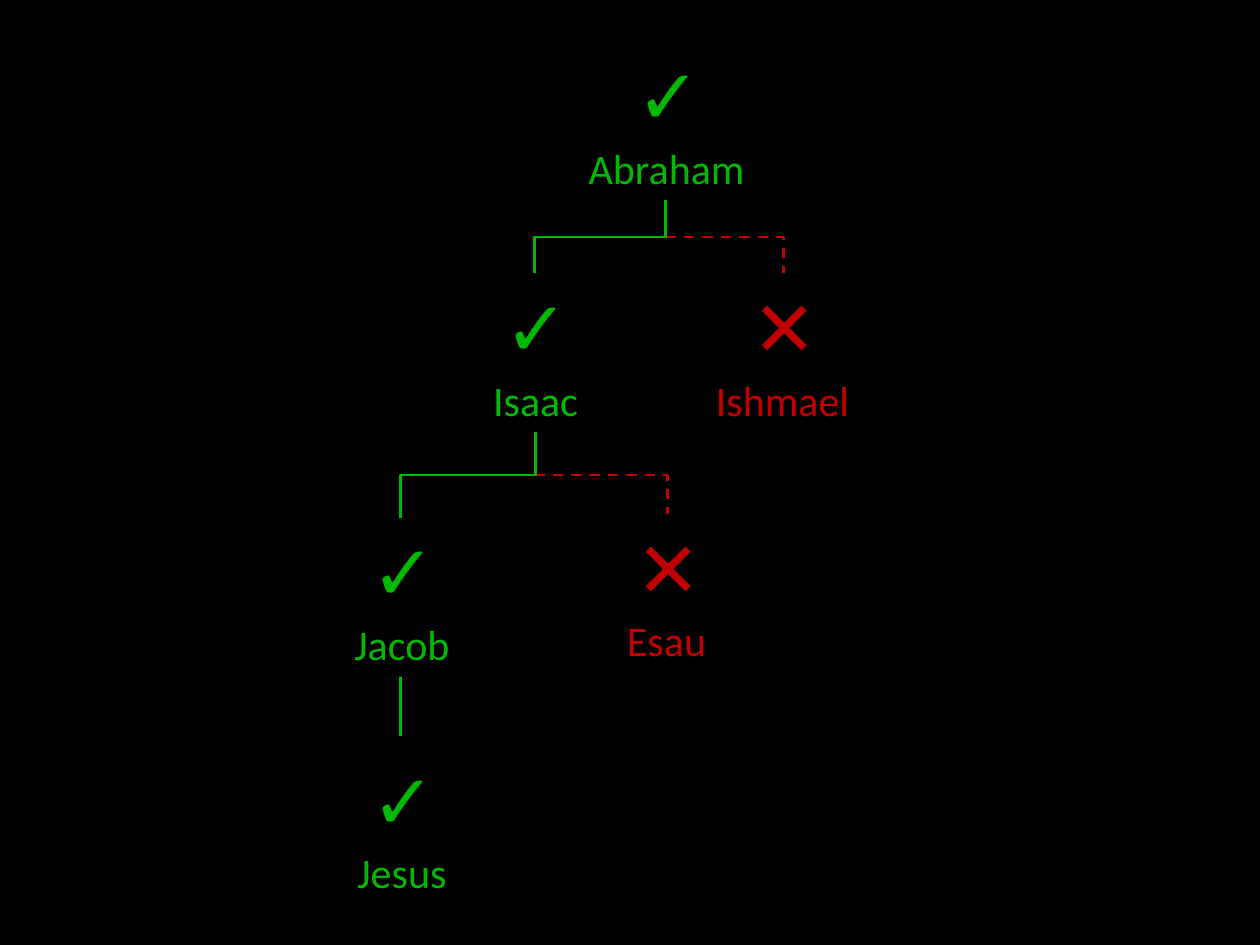
from pptx import Presentation
from pptx.dml.color import RGBColor
from pptx.enum.dml import MSO_LINE_DASH_STYLE as Dash
from pptx.enum.shapes import MSO_CONNECTOR as Connector
from pptx.enum.text import MSO_AUTO_SIZE as AutoSize, PP_ALIGN as Align
from pptx.oxml.ns import qn
from pptx.util import Inches, Pt
from lxml import etree

BLACK = RGBColor(0x00, 0x00, 0x00)
GREEN = RGBColor(0x01, 0xB9, 0x02)
RED = RGBColor(0xC0, 0x00, 0x00)
LINE_RED = RGBColor(0xC0, 0x00, 0x02)

# name, chosen, left and top of the whole entry
PEOPLE = [
    ("Jacob", True, 2.48, 4.11),
    ("Esau", False, 4.58, 4.08),
    ("Isaac", True, 3.54, 2.17),
    ("Ishmael", False, 5.5, 2.17),
    ("Abraham", True, 4.58, 0.33),
    ("Jesus", True, 2.48, 5.92),
]
# route, start, end, chosen
BRANCHES = [
    ("fork", (5.28, 1.59), (6.22, 2.17), False),
    ("fork", (5.28, 1.59), (4.24, 2.17), True),
    ("corner", (4.24, 3.77), (5.3, 4.08), False),
    ("fork", (4.25, 3.43), (3.18, 4.11), True),
    ("straight", (3.18, 5.37), (3.18, 5.84), True),
]
NAME_WIDTH, NAME_HEIGHT = 1.42, 0.5
MARK_HEIGHT = 0.84
MARK_INDENT, NAME_DROP = 0.37, 0.75


def add_text(parent, text, left, top, width, height, *, size, color,
             font="Calibri", align=None, wrap=True, side_inset=0.1):
    box = parent.shapes.add_textbox(*map(Inches, (left, top, width, height)))
    frame = box.text_frame
    frame.word_wrap = wrap
    frame.auto_size = AutoSize.SHAPE_TO_FIT_TEXT
    frame.margin_left = frame.margin_right = Inches(side_inset)
    para = frame.paragraphs[0]
    para.alignment = align
    span = para.add_run()
    span.text = text
    span.font.name = font
    span.font.size = Pt(size)
    span.font.color.rgb = color


def add_person(page, name, chosen, left, top):
    group = page.shapes.add_group_shape()
    color = GREEN if chosen else RED
    mark, font, width = ("✓", "Calibri", 0.66) if chosen else ("✕", "DejaVu Sans", 0.71)
    add_text(group, mark, left + MARK_INDENT, top, width, MARK_HEIGHT,
             size=44, color=color, font=font, wrap=False)
    add_text(group, name, left, top + NAME_DROP, NAME_WIDTH, NAME_HEIGHT,
             size=24, color=color, align=Align.CENTER, side_inset=0)


def add_branch(page, route, start, end, chosen):
    """Draw a straight line, a single corner, or a fork leaving downwards."""
    (x1, y1), (x2, y2) = start, end
    kind = Connector.STRAIGHT if route == "straight" else Connector.ELBOW
    if route == "fork":
        # A quarter turn about the centre makes the elbow run down, across, down.
        middle_x, middle_y = (x1 + x2) / 2, (y1 + y2) / 2
        half_width, half_height = (y2 - y1) / 2, abs(x2 - x1) / 2
        side = 1 if x2 > x1 else -1
        x1, x2 = middle_x + side * half_width, middle_x - side * half_width
        y1, y2 = middle_y - half_height, middle_y + half_height
    line = page.shapes.add_connector(kind, *map(Inches, (x1, y1, x2, y2)))
    properties = line._element.spPr
    if route == "fork":
        turn = 270 if side == 1 else 90
        properties.find(qn("a:xfrm")).set("rot", str(turn * 60000))
    elif route == "corner":
        properties.find(qn("a:prstGeom")).set("prst", "bentConnector2")
    line.line.color.rgb = GREEN if chosen else LINE_RED
    line.line.width = Pt(1.5)
    if not chosen:
        line.line.dash_style = Dash.DASH
    etree.SubElement(properties, qn("a:effectLst"))


def main():
    deck = Presentation()
    deck.slide_width, deck.slide_height = Inches(10), Inches(7.5)
    page = deck.slides.add_slide(deck.slide_layouts[6])
    page.background.fill.solid()
    page.background.fill.fore_color.rgb = BLACK
    for person in PEOPLE:
        add_person(page, *person)
    for branch in BRANCHES:
        add_branch(page, *branch)
    deck.save("out.pptx")


if __name__ == "__main__":
    main()
